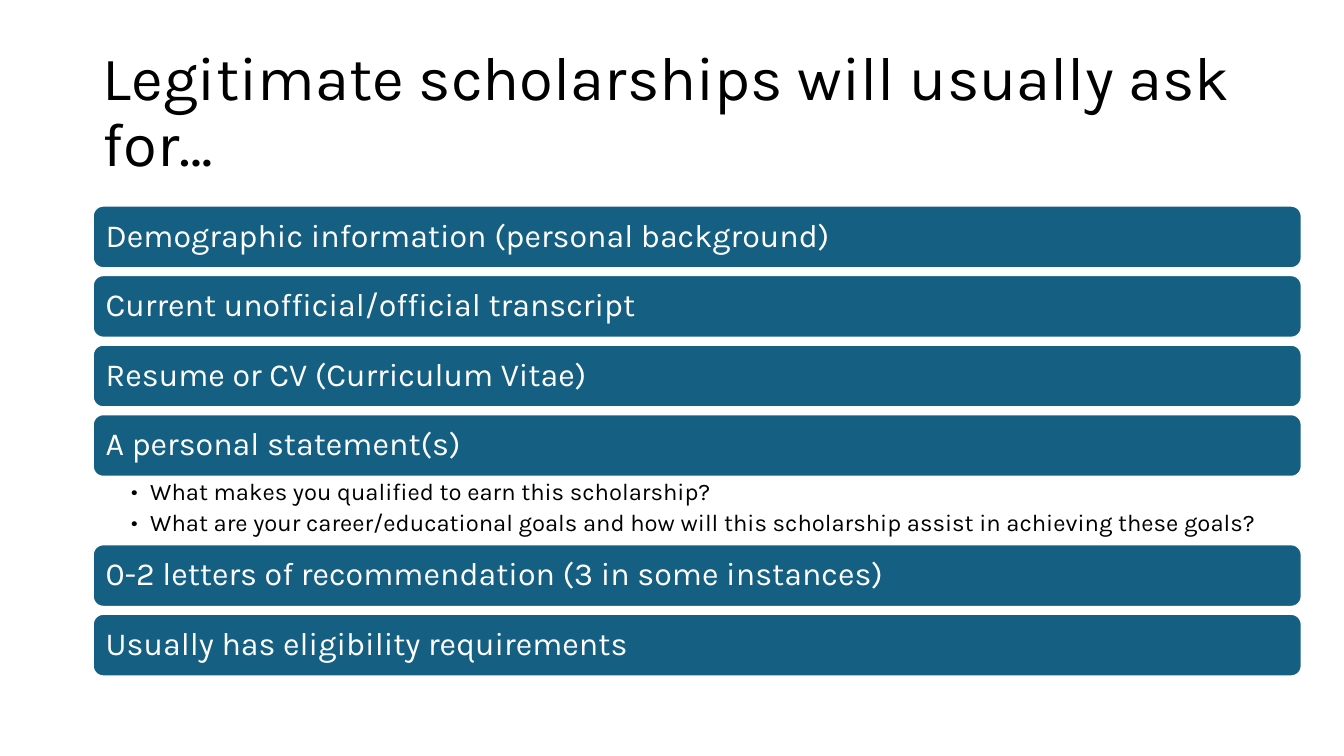
from lxml.etree import SubElement
from pptx import Presentation
from pptx.dml.color import RGBColor
from pptx.enum.shapes import MSO_SHAPE
from pptx.enum.text import MSO_ANCHOR, MSO_AUTO_SIZE, PP_ALIGN
from pptx.oxml.ns import qn
from pptx.util import Inches, Pt

COLORS = {"black": "000000", "white": "FFFFFF", "teal": "156082"}
FONT = "Karla"
LEFT, WIDTH = 0.92, 11.99
BAR_TOP, BAR_HEIGHT, BAR_GAP = 2.04, 0.62, 0.07
DETAILS_HEIGHT = 0.67

REQUIREMENTS = [
    ("Demographic information (personal background)", []),
    ("Current unofficial/official transcript", []),
    ("Resume or CV (Curriculum Vitae)", []),
    ("A personal statement(s)", [
        "What makes you qualified to earn this scholarship?",
        "What are your career/educational goals and how will this scholarship "
        "assist in achieving these goals?",
    ]),
    ("0-2 letters of recommendation (3 in some instances)", []),
    ("Usually has eligibility requirements", []),
]


def color(name):
    return RGBColor.from_string(COLORS[name])


def write_text(paragraph, text, size, color_name="black", space_after=0):
    paragraph.alignment = PP_ALIGN.LEFT
    paragraph.line_spacing = 0.9
    paragraph.space_after = Pt(space_after)
    run = paragraph.add_run()
    run.text = text
    run.font.name = FONT
    run.font.size = Pt(size)
    run.font.color.rgb = color(color_name)


def set_frame(frame, anchor, left=0.1, top=0.05, right=0.1, bottom=0.05):
    frame.word_wrap = True
    frame.auto_size = MSO_AUTO_SIZE.NONE
    frame.vertical_anchor = anchor
    frame.margin_left, frame.margin_top = Inches(left), Inches(top)
    frame.margin_right, frame.margin_bottom = Inches(right), Inches(bottom)


def add_bullet(paragraph, indent):
    properties = paragraph._p.get_or_add_pPr()
    properties.set("marL", str(Inches(indent)))
    properties.set("indent", str(-Inches(indent)))
    SubElement(properties, qn("a:buFont")).set("typeface", FONT)
    SubElement(properties, qn("a:buChar")).set("char", "•")


def add_title(slide, text):
    title = slide.shapes.title
    title.left, title.top = Inches(LEFT), Inches(0.4)
    title.width, title.height = Inches(11.5), Inches(1.45)
    set_frame(title.text_frame, MSO_ANCHOR.MIDDLE)
    write_text(title.text_frame.paragraphs[0], text, size=44)


def add_bar(slide, text, top):
    bar = slide.shapes.add_shape(
        MSO_SHAPE.ROUNDED_RECTANGLE,
        Inches(LEFT), Inches(top), Inches(WIDTH), Inches(BAR_HEIGHT))
    bar.shadow.inherit = False
    bar.fill.solid()
    bar.fill.fore_color.rgb = color("teal")
    bar.line.color.rgb = color("white")
    bar.line.width = Pt(1.5)
    set_frame(bar.text_frame, MSO_ANCHOR.MIDDLE, top=0.1, bottom=0.1)
    write_text(bar.text_frame.paragraphs[0], text, size=23, color_name="white")


def add_details(slide, details, top):
    box = slide.shapes.add_textbox(
        Inches(LEFT), Inches(top), Inches(WIDTH), Inches(DETAILS_HEIGHT))
    frame = box.text_frame
    set_frame(frame, MSO_ANCHOR.TOP, left=0.38, top=0.03, right=0.1, bottom=0.03)
    for index, detail in enumerate(details):
        paragraph = frame.add_paragraph() if index else frame.paragraphs[0]
        write_text(paragraph, detail, size=17, space_after=4)
        add_bullet(paragraph, indent=0.19)


def main():
    presentation = Presentation()
    presentation.slide_width = Inches(13.33)
    presentation.slide_height = Inches(7.5)
    slide = presentation.slides.add_slide(presentation.slide_layouts[5])
    add_title(slide, "Legitimate scholarships will usually ask for…")
    top = BAR_TOP
    for requirement, details in REQUIREMENTS:
        add_bar(slide, requirement, top)
        top += BAR_HEIGHT
        if details:
            add_details(slide, details, top)
            top += DETAILS_HEIGHT
        else:
            top += BAR_GAP
    presentation.save("out.pptx")


if __name__ == "__main__":
    main()
